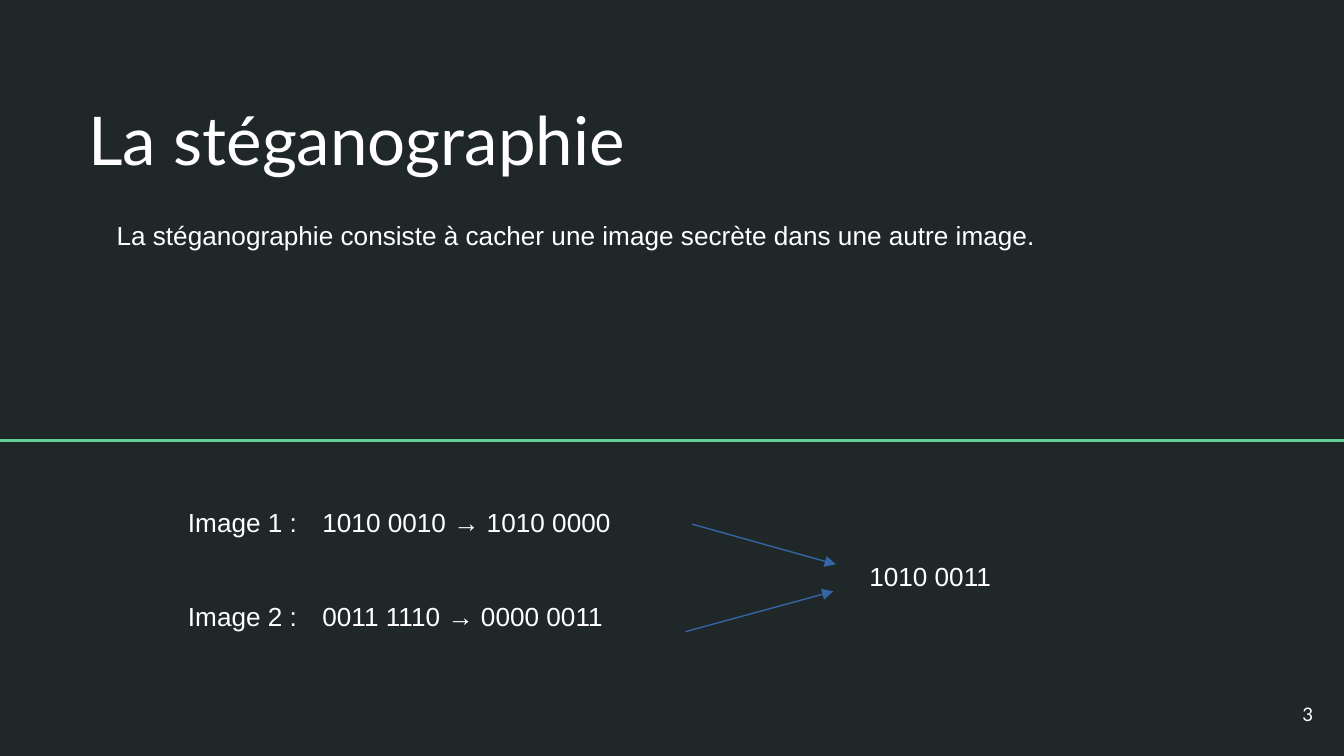
import pptx
import pptx.util
import pptx.dml.color
import pptx.enum.shapes
import pptx.enum.text
import pptx.oxml

Pt = pptx.util.Pt
RGB = pptx.dml.color.RGBColor.from_string
Anchor = pptx.enum.text.MSO_ANCHOR
Align = pptx.enum.text.PP_ALIGN

THEME = {
    "back": "202729", "text": "FFFFFF", "rule": "63D297", "arrow": "3465A4",
    "head": ("Lato", 36), "body": ("Arial", 14), "page": ("Lato", 10),
}

# Content
TITLE = "La stéganographie"
INTRO = "La stéganographie consiste à cacher une image secrète dans une autre image."
ROWS = [
    ("Image 1\u00a0:", "1010 0010 → 1010 0000"),
    ("Image 2\u00a0:", "0011 1110 → 0000 0011"),
]
RESULT = "1010 0011"
PAGE = "3"

# Layout, in points
WIDE, HIGH = 720, 405
LINE_H, COL_W = 31, 182
NAME_X, BITS_X, SUM_X = 93.6, 165.6, 458.6
ROW_Y, ROW_GAP = 264.2, 50.4
SUM_Y = 293
RULE_Y = 236.2
ARROWS = [((370.8, 280.8), (447.8, 302.4)), ((367.2, 338.4), (446.4, 316.8))]

deck = pptx.Presentation()
deck.slide_width, deck.slide_height = Pt(WIDE), Pt(HIGH)
slide = deck.slides.add_slide(deck.slide_layouts[6])
slide.background.fill.solid()
slide.background.fill.fore_color.rgb = RGB(THEME["back"])


def add_text(text, box, style="body", anchor=Anchor.TOP, align=Align.LEFT):
    frame = slide.shapes.add_textbox(*map(Pt, box)).text_frame
    frame.word_wrap = True
    frame.vertical_anchor = anchor
    frame.margin_left = frame.margin_right = Pt(7.2)
    frame.margin_top = frame.margin_bottom = Pt(7.2)
    frame.text = text
    para = frame.paragraphs[0]
    para.alignment = align
    font = para.runs[0].font
    font.name, size = THEME[style]
    font.size = Pt(size)
    font.color.rgb = RGB(THEME["text"])


def add_line(start, end, color, width, arrow=False):
    line = slide.shapes.add_connector(
        pptx.enum.shapes.MSO_CONNECTOR.STRAIGHT, *map(Pt, start + end))
    line.line.color.rgb = RGB(THEME[color])
    line.line.width = Pt(width)
    props = line._element.spPr
    if arrow:
        tip = pptx.oxml.xmlchemy.OxmlElement("a:tailEnd")
        tip.set("type", "triangle")
        line.line._get_or_add_ln().append(tip)
    props.append(pptx.oxml.xmlchemy.OxmlElement("a:effectLst"))


# Divider, title, page number and intro
add_line((0, RULE_Y), (WIDE, RULE_Y), "rule", 1.5)
add_text(TITLE, (40.3, 41.8, 639.4, 61.2), "head", Anchor.BOTTOM)
add_text(PAGE, (667.4, 367.2, 43.2, LINE_H), "page", Anchor.MIDDLE, Align.RIGHT)
add_text(INTRO, (55.4, 110.2, 537.1, LINE_H))

# Bits of each image
for i, (name, bits) in enumerate(ROWS):
    y = ROW_Y + i * ROW_GAP
    add_text(name, (NAME_X, y, COL_W, LINE_H))
    add_text(bits, (BITS_X, y, COL_W, LINE_H))

# Arrows to the merged bits
for start, end in ARROWS:
    add_line(start, end, "arrow", 0.75, arrow=True)
add_text(RESULT, (SUM_X, SUM_Y, COL_W, LINE_H))

deck.save("out.pptx")
